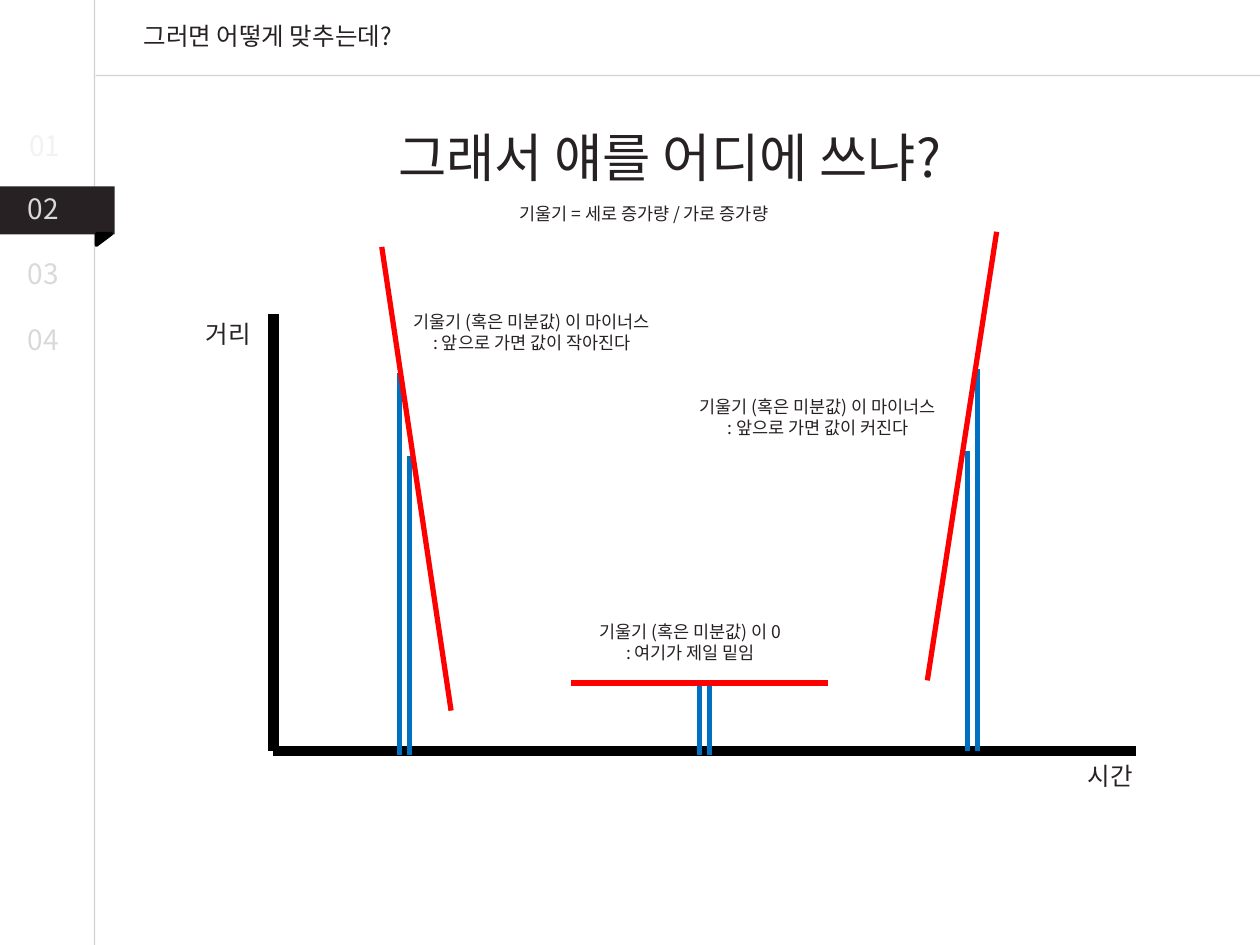
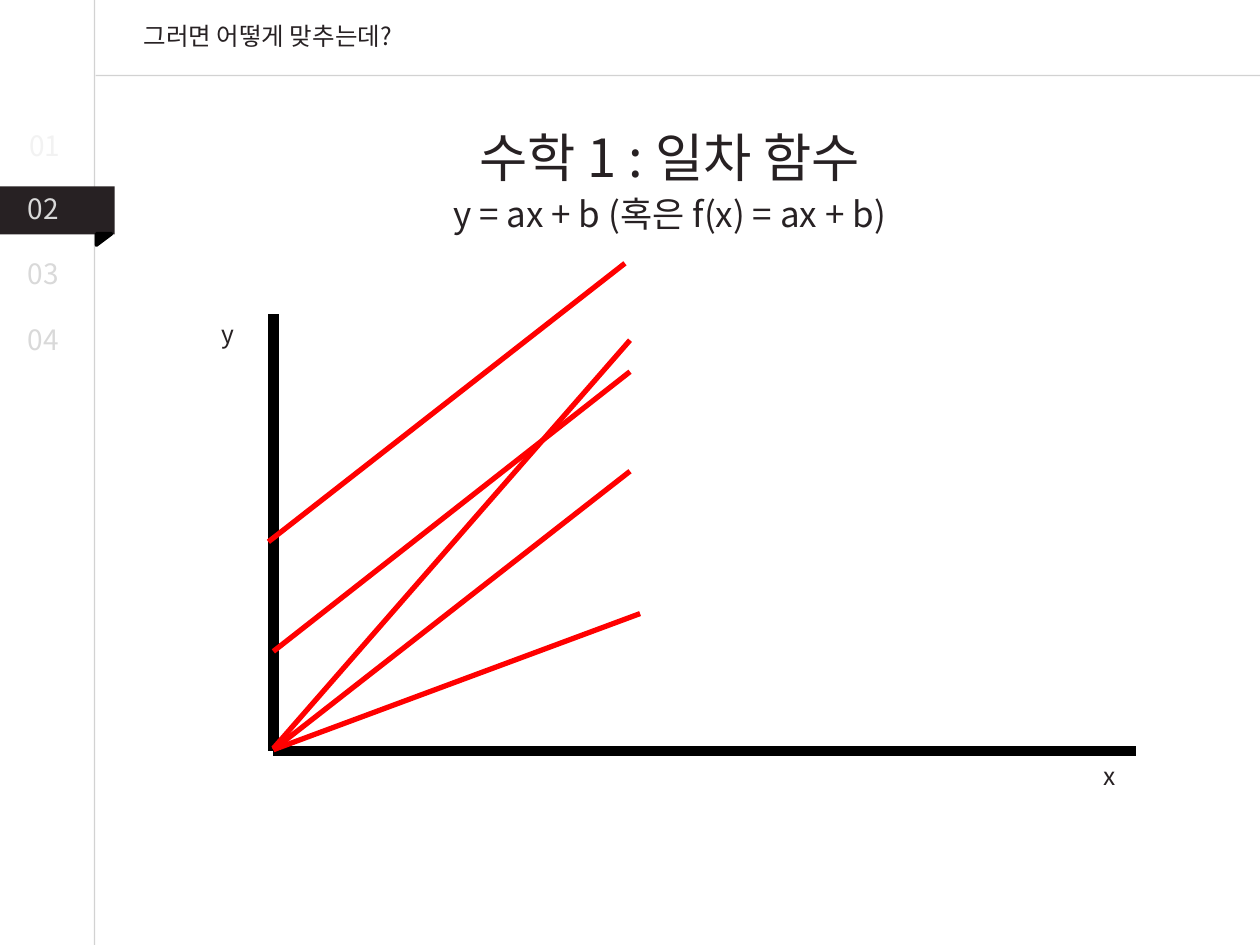
from dataclasses import dataclass

from lxml.etree import SubElement
from pptx import Presentation
from pptx.dml.color import RGBColor
from pptx.enum.shapes import MSO_CONNECTOR, MSO_SHAPE
from pptx.enum.text import MSO_AUTO_SIZE, PP_ALIGN
from pptx.oxml import parse_xml
from pptx.oxml.ns import nsdecls, qn
from pptx.util import Inches, Pt


@dataclass(frozen=True)
class Theme:
    font: str = "Noto Sans CJK KR"
    ink: str = "272123"
    black: str = "000000"
    rule: str = "A6A6A6"
    numeral: str = "D9D9D9"
    faded: str = "F2F2F2"
    tangent: str = "FF0000"
    distance: str = "0070C0"
    title_size: int = 30
    formula_size: int = 20
    numeral_size: int = 16
    label_size: int = 14
    note_size: int = 10
    hairline: float = 0.75
    fold_line: int = 2
    stroke: int = 3
    axis: int = 6


@dataclass(frozen=True)
class Box:
    left: float
    top: float
    width: float
    height: float

    def inner(self, column, row, width, height):
        return Box(self.left + column, self.top + row, width, height)

    def from_origin(self, x, y):
        return self.left + x, self.top + self.height - y

    def lengths(self):
        return [cells(n) for n in (self.left, self.top, self.width, self.height)]


THEME = Theme()
COLUMNS, ROWS = 100, 75
RAIL = Box(0, 0, 7.5, ROWS)
HEADER = Box(7.6, 0, COLUMNS - 7.6, 6)
HEADING = Box(20.6, 9.4, 65.1, 10)
PLOT = Box(21.7, 24.9, 68.5, 34.7)


def cells(count):
    return Inches(count / 10)


def rgb(value):
    return RGBColor.from_string(value)


def apply(target, values):
    for name, value in values.items():
        setattr(target, name, value)


def add_alpha(color_parent, percent):
    SubElement(color_parent.find(".//" + qn("a:srgbClr")), qn("a:alpha"), val=str(percent * 1000))


def write(slide, box, lines, size, color=THEME.ink, align=PP_ALIGN.CENTER):
    frame = slide.shapes.add_textbox(*box.lengths()).text_frame
    apply(frame, {"word_wrap": True, "auto_size": MSO_AUTO_SIZE.SHAPE_TO_FIT_TEXT})
    for index, line in enumerate(lines):
        paragraph = frame.add_paragraph() if index else frame.paragraphs[0]
        paragraph.alignment = align
        run = paragraph.add_run()
        run.text = line
        apply(run.font, {"size": Pt(size), "name": THEME.font})
        run.font.color.rgb = rgb(color)
        properties = run.font._element
        SubElement(properties, qn("a:ea"), typeface=THEME.font)
        outline = parse_xml(
            f'<a:ln {nsdecls("a")} w="{Pt(THEME.hairline)}"><a:solidFill>'
            f'<a:srgbClr val="{THEME.black}"/></a:solidFill></a:ln>'
        )
        add_alpha(outline, 30)
        properties.insert(0, outline)


def draw_line(slide, start, end, color, width, alpha=None):
    points = [cells(n) for n in (*start, *end)]
    connector = slide.shapes.add_connector(MSO_CONNECTOR.STRAIGHT, *points)
    connector.line.color.rgb = rgb(color)
    connector.line.width = Pt(width)
    properties = connector._element.spPr
    if alpha:
        add_alpha(properties, alpha)
    SubElement(properties, qn("a:effectLst"))


def draw_shape(slide, preset, box, color, rotation=0, outline=None):
    shape = slide.shapes.add_shape(preset, *box.lengths())
    shape.shadow.inherit = False
    shape.rotation = rotation
    shape.fill.solid()
    shape.fill.fore_color.rgb = rgb(color)
    if outline:
        shape.line.color.rgb = rgb(color)
        shape.line.width = Pt(outline)
    else:
        shape.line.fill.background()


def add_header(slide, box):
    bottom = box.top + box.height
    draw_line(slide, (box.left + box.width, bottom), (box.left, bottom),
              THEME.rule, THEME.hairline, 50)
    write(slide, box.inner(2.8, 1.2, 59.8, 3.4), ["그러면 어떻게 맞추는데?"],
          THEME.label_size, align=PP_ALIGN.LEFT)


def add_rail(slide, box):
    right = box.left + box.width
    draw_line(slide, (right, box.top), (right, box.top + box.height),
              THEME.rule, THEME.hairline, 50)
    draw_shape(slide, MSO_SHAPE.RECTANGLE, box.inner(0, 14.8, 9.1, 3.8), THEME.ink)
    draw_shape(slide, MSO_SHAPE.RIGHT_TRIANGLE, box.inner(7.8, 18.4, 0.9, 1.2),
               THEME.black, 90, THEME.fold_line)
    write(slide, box.inner(1.35, 9.7, 4.9, 3.7), ["01"], THEME.numeral_size,
          THEME.faded, PP_ALIGN.LEFT)
    for step, chapter in enumerate(("02", "03", "04")):
        write(slide, box.inner(1.2, 14.7 + 5.2 * step, 4.9, 3.7), [chapter],
              THEME.numeral_size, THEME.numeral, PP_ALIGN.LEFT)


def add_title(slide, box, title):
    write(slide, box.inner(0, 0, box.width, 6.1), [title], THEME.title_size)


def add_axes(slide, box, vertical, horizontal):
    origin = box.from_origin(0, 0)
    for end in ((0, box.height), (box.width, 0)):
        draw_line(slide, origin, box.from_origin(*end), THEME.black, THEME.axis)
    write(slide, box.inner(-7.2, -0.1, 7.2, 3.4), [vertical], THEME.label_size)
    write(slide, box.inner(62.8, box.height + 0.3, 7.2, 3.4), [horizontal], THEME.label_size)


def add_slopes(slide, box, slopes):
    for start, end in slopes:
        draw_line(slide, box.from_origin(*start), box.from_origin(*end),
                  THEME.tangent, THEME.stroke)


def add_distances(slide, box, first, base, heights):
    for step, height in enumerate(heights):
        x = first + 0.8 * step
        draw_line(slide, box.from_origin(x, base), box.from_origin(x, height),
                  THEME.distance, THEME.stroke)


def add_notes(slide, box, notes):
    for column, row, lines in notes:
        write(slide, box.inner(column, row, 36, 4.4), lines, THEME.note_size)


def start_slide(deck, title, vertical, horizontal):
    slide = deck.slides.add_slide(deck.slide_layouts[6])
    add_header(slide, HEADER)
    add_rail(slide, RAIL)
    add_axes(slide, PLOT, vertical, horizontal)
    add_title(slide, HEADING, title)
    return slide


def build_gradient_slide(deck):
    slide = start_slide(deck, "그래서 얘를 어디에 쓰냐?", "거리", "시간")
    write(slide, HEADING.inner(12.5, 6.2, 36, 2.7),
          ["기울기 = 세로 증가량 / 가로 증가량"], THEME.note_size)
    for first, base, heights in (
        (10, -0.3, (30, 23.4)),
        (55.1, 0, (23.8, 30.3)),
        (33.8, -0.3, (5.6, 5.6)),
    ):
        add_distances(slide, PLOT, first, base, heights)
    add_slopes(slide, PLOT, (
        ((14.1, 3.2), (8.6, 40)),
        ((51.9, 5.6), (57.4, 41.2)),
        ((23.6, 5.4), (44, 5.4)),
    ))
    minus = "기울기 (혹은 미분값) 이 마이너스"
    add_notes(slide, PLOT, (
        (2.5, -0.7, (minus, ": 앞으로 가면 값이 작아진다")),
        (25.2, 6, (minus, ": 앞으로 가면 값이 커진다")),
        (15.1, 23.9, ("기울기 (혹은 미분값) 이 0", ": 여기가 제일 밑임")),
    ))


def build_linear_function_slide(deck):
    slide = start_slide(deck, "수학 1 : 일차 함수", "y", "x")
    write(slide, HEADING.inner(0, 5.4, HEADING.width, 4.4),
          ["y = ax + b (혹은 f(x) = ax + b)"], THEME.formula_size)
    add_slopes(slide, PLOT, (
        ((0, 0.1), (28.3, 22.2)),
        ((0, 0.1), (29.1, 10.9)),
        ((0, 0.2), (28.3, 32.6)),
        ((0, 7.9), (28.3, 30.1)),
        ((-0.4, 16.6), (27.9, 38.7)),
    ))


def main():
    deck = Presentation()
    apply(deck, {"slide_width": cells(COLUMNS), "slide_height": cells(ROWS)})
    build_gradient_slide(deck)
    build_linear_function_slide(deck)
    deck.save("out.pptx")


if __name__ == "__main__":
    main()
